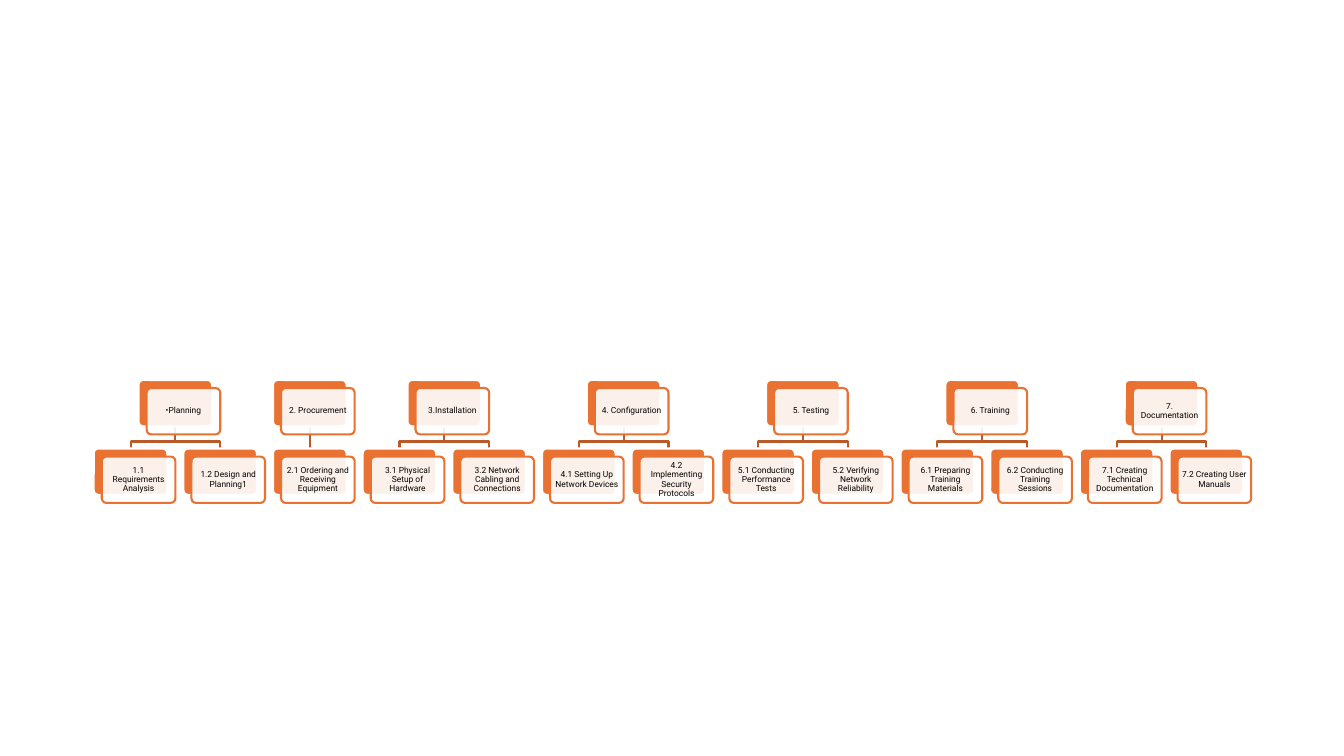
from lxml import etree
from pptx import Presentation
from pptx import util as u
from pptx.dml.color import RGBColor
from pptx.enum import shapes, text
from pptx.oxml.ns import qn

PHASES = [
    ("•Planning", ["1.1 Requirements Analysis", "1.2 Design and Planning1"]),
    ("2. Procurement", ["2.1 Ordering and Receiving Equipment"]),
    ("3.Installation", ["3.1 Physical Setup of Hardware",
                        "3.2 Network Cabling and Connections"]),
    ("4. Configuration", ["4.1 Setting Up Network Devices",
                          "4.2 Implementing Security Protocols"]),
    ("5. Testing", ["5.1 Conducting Performance Tests",
                    "5.2 Verifying Network Reliability"]),
    ("6. Training", ["6.1 Preparing Training Materials",
                     "6.2 Conducting Training Sessions"]),
    ("7. Documentation", ["7.1 Creating Technical Documentation",
                          "7.2 Creating User Manuals"]),
]

ORANGE = RGBColor(0xE9, 0x71, 0x32)
RUST = RGBColor(0xBB, 0x5A, 0x28)
WHITE = RGBColor(0xFF, 0xFF, 0xFF)
BLACK = RGBColor(0, 0, 0)

SLIDE_W, SLIDE_H = 13.33, 7.5
TASK_COUNT = sum(len(tasks) for _, tasks in PHASES)
FIRST_LEFT, LAST_LEFT = 0.93, 11.6
PITCH = (LAST_LEFT - FIRST_LEFT) / (TASK_COUNT - 1)
PHASE_TOP, TASK_TOP, BEND_Y = 3.77, 4.45, 4.38
CARD_W, CARD_H = 0.73, 0.46
SHIFT_X, SHIFT_Y = 0.08, 0.08
LINE_WIDTH = u.Pt(1.5)

deck = Presentation()
deck.slide_width, deck.slide_height = u.Inches(SLIDE_W), u.Inches(SLIDE_H)
page = deck.slides.add_slide(deck.slide_layouts[6])


def write(box, words, size=6, color=BLACK, font="Roboto", spacing=0.9):
    frame = box.text_frame
    frame.word_wrap = True
    frame.vertical_anchor = text.MSO_ANCHOR.MIDDLE
    frame.margin_left = frame.margin_right = u.Inches(0.03)
    frame.margin_top = frame.margin_bottom = u.Inches(0.03)
    para = frame.paragraphs[0]
    para.alignment = text.PP_ALIGN.CENTER
    para.line_spacing = spacing
    span = para.add_run()
    span.text = words
    span.font.size = u.Pt(size)
    span.font.name = font
    span.font.color.rgb = color


def add_panel(left, top, fill, line):
    panel = page.shapes.add_shape(
        shapes.MSO_SHAPE.ROUNDED_RECTANGLE, u.Inches(left), u.Inches(top),
        u.Inches(CARD_W), u.Inches(CARD_H))
    panel.adjustments[0] = 0.1
    panel.shadow.inherit = False
    panel.fill.solid()
    panel.fill.fore_color.rgb = fill
    panel.line.color.rgb = line
    panel.line.width = LINE_WIDTH
    return panel


def add_card(left, top, words):
    add_panel(left, top, ORANGE, WHITE)
    front = add_panel(left + SHIFT_X, top + SHIFT_Y, WHITE, ORANGE)
    tint = front.fill._xPr.find(qn("a:solidFill"))[0]
    etree.SubElement(tint, qn("a:alpha"), val="90000")
    write(front, words)


def add_branch(start_x, end_x):
    start_y = PHASE_TOP + CARD_H
    if abs(start_x - end_x) < 0.01:
        branch = page.shapes.add_connector(
            shapes.MSO_CONNECTOR.STRAIGHT, u.Inches(start_x), u.Inches(start_y),
            u.Inches(end_x), u.Inches(TASK_TOP))
        etree.SubElement(branch._element.spPr, qn("a:effectLst"))
    else:
        outline = page.shapes.build_freeform(
            u.Inches(start_x), u.Inches(start_y))
        corners = [(start_x, BEND_Y), (end_x, BEND_Y), (end_x, TASK_TOP)]
        outline.add_line_segments(
            [(u.Inches(x), u.Inches(y)) for x, y in corners], close=False)
        branch = outline.convert_to_shape()
        branch.shadow.inherit = False
        branch.fill.background()
    branch.line.color.rgb = RUST
    branch.line.width = LINE_WIDTH


cards, branches = [], []
column = 0
for phase, tasks in PHASES:
    lefts = [FIRST_LEFT + PITCH * (column + i) for i in range(len(tasks))]
    phase_left = sum(lefts) / len(lefts)
    cards.append((phase_left, PHASE_TOP, phase))
    cards += [(left, TASK_TOP, task) for left, task in zip(lefts, tasks)]
    branches += [(phase_left + CARD_W / 2, left + CARD_W / 2) for left in lefts]
    column += len(tasks)

for branch in branches:
    add_branch(*branch)
for card in cards:
    add_card(*card)

deck.save("out.pptx")
